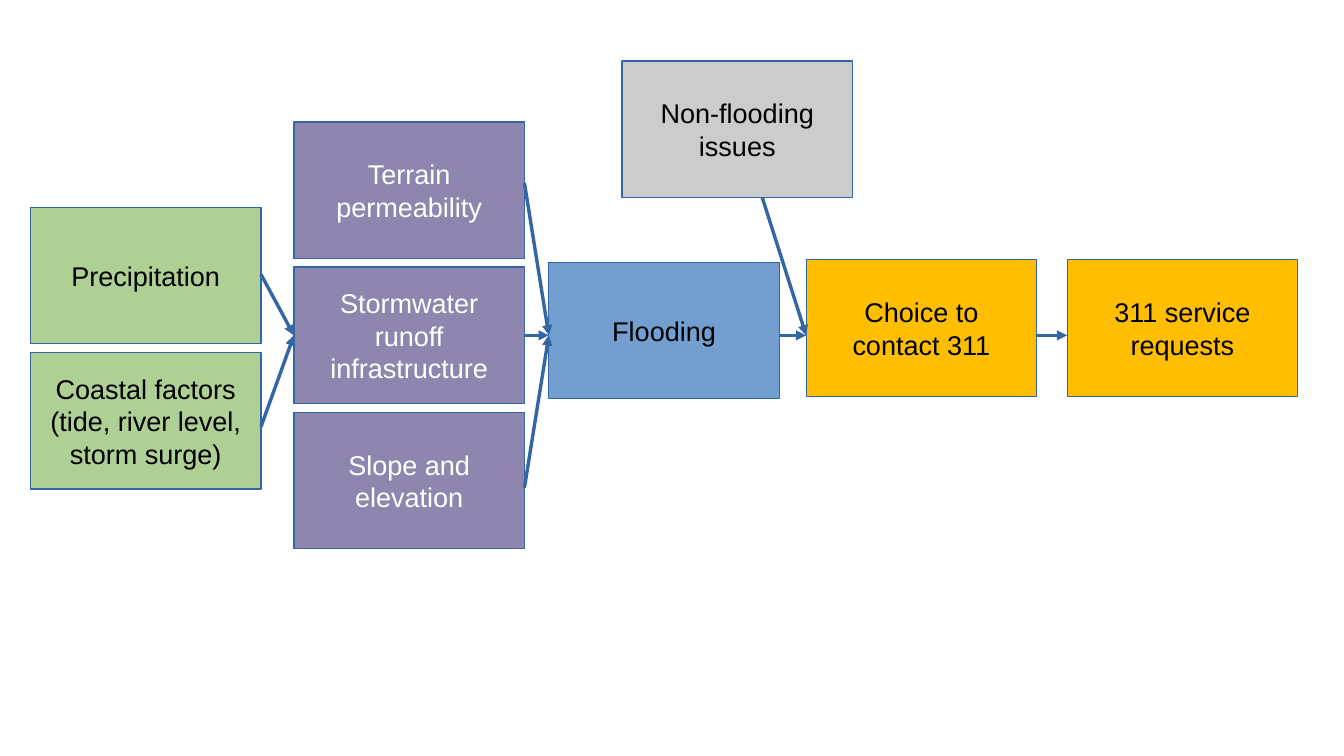
from lxml.etree import SubElement as Sub
from pptx import Presentation
from pptx.dml.color import RGBColor as RGB
from pptx.enum.shapes import MSO_CONNECTOR as LINK, MSO_SHAPE as SHAPE
from pptx.enum.text import MSO_ANCHOR as ANCHOR, PP_ALIGN as ALIGN
from pptx.oxml.ns import qn
from pptx.util import Inches, Pt

GREEN = RGB(0xAF, 0xD0, 0x95)
PURPLE = RGB(0x8E, 0x86, 0xAE)
GOLD = RGB(0xFF, 0xBF, 0x00)
GRAY = RGB(0xCC, 0xCC, 0xCC)
BLUE = RGB(0x72, 0x9F, 0xCF)
EDGE = RGB(0x34, 0x65, 0xA4)
BLACK = RGB(0, 0, 0)
WHITE = RGB(255, 255, 255)

WIDE, HIGH = 11.02, 6.2
COLS = [0.25, 2.41, 4.5, 6.61, 8.75]
BOX_W, BOX_H = 1.89, 1.12
PITCH = 1.19
AXIS = 2.75
ISSUE_X, ISSUE_Y = 5.1, 0.5

STACKS = [
    (COLS[0], 1.7, GREEN, BLACK,
     ["Precipitation", "Coastal factors (tide, river level, storm surge)"]),
    (COLS[1], 1, PURPLE, WHITE,
     ["Terrain permeability", "Stormwater runoff infrastructure", "Slope and elevation"]),
    (COLS[2], 2.15, BLUE, BLACK, ["Flooding"]),
    (COLS[3], 2.13, GOLD, BLACK, ["Choice to contact 311"]),
    (COLS[4], 2.13, GOLD, BLACK, ["311 service requests"]),
    (ISSUE_X, ISSUE_Y, GRAY, BLACK, ["Non-flooding issues"]),
]
STARTS = [[2.25, 3.5], [1.5, AXIS, 4], [AXIS], [AXIS]]


def write(box, text, size=16, color=BLACK, font="Arial"):
    frame = box.text_frame
    frame.word_wrap = True
    frame.vertical_anchor = ANCHOR.MIDDLE
    para = frame.paragraphs[0]
    para.alignment = ALIGN.CENTER
    run = para.add_run()
    run.text = text
    run.font.name = font
    run.font.size = Pt(size)
    run.font.color.rgb = color


def trim(line):
    line.color.rgb = EDGE
    line.width = Pt(0)


def add_box(slide, x, y, fill, text, color):
    box = slide.shapes.add_shape(SHAPE.RECTANGLE, *map(Inches, (x, y, BOX_W, BOX_H)))
    box.shadow.inherit = False
    box.fill.solid()
    box.fill.fore_color.rgb = fill
    trim(box.line)
    write(box, text, color=color)


def add_arrow(slide, *ends):
    link = slide.shapes.add_connector(LINK.STRAIGHT, *map(Inches, ends))
    trim(link.line)
    props = link._element.spPr
    Sub(props.find(qn("a:ln")), qn("a:tailEnd"), type="triangle")
    Sub(props, qn("a:effectLst"))


def main():
    """Build the flow from flood causes to service requests."""
    deck = Presentation()
    deck.slide_width, deck.slide_height = Inches(WIDE), Inches(HIGH)
    slide = deck.slides.add_slide(deck.slide_layouts[6])
    for x, top, fill, color, labels in STACKS:
        for row, text in enumerate(labels):
            add_box(slide, x, top + row * PITCH, fill, text, color)
    for left, goal, starts in zip(COLS, COLS[1:], STARTS):
        for y in starts:
            add_arrow(slide, left + BOX_W, y, goal, AXIS)
    add_arrow(slide, 6.25, ISSUE_Y + BOX_H, COLS[3], AXIS)
    deck.save("out.pptx")


if __name__ == "__main__":
    main()
